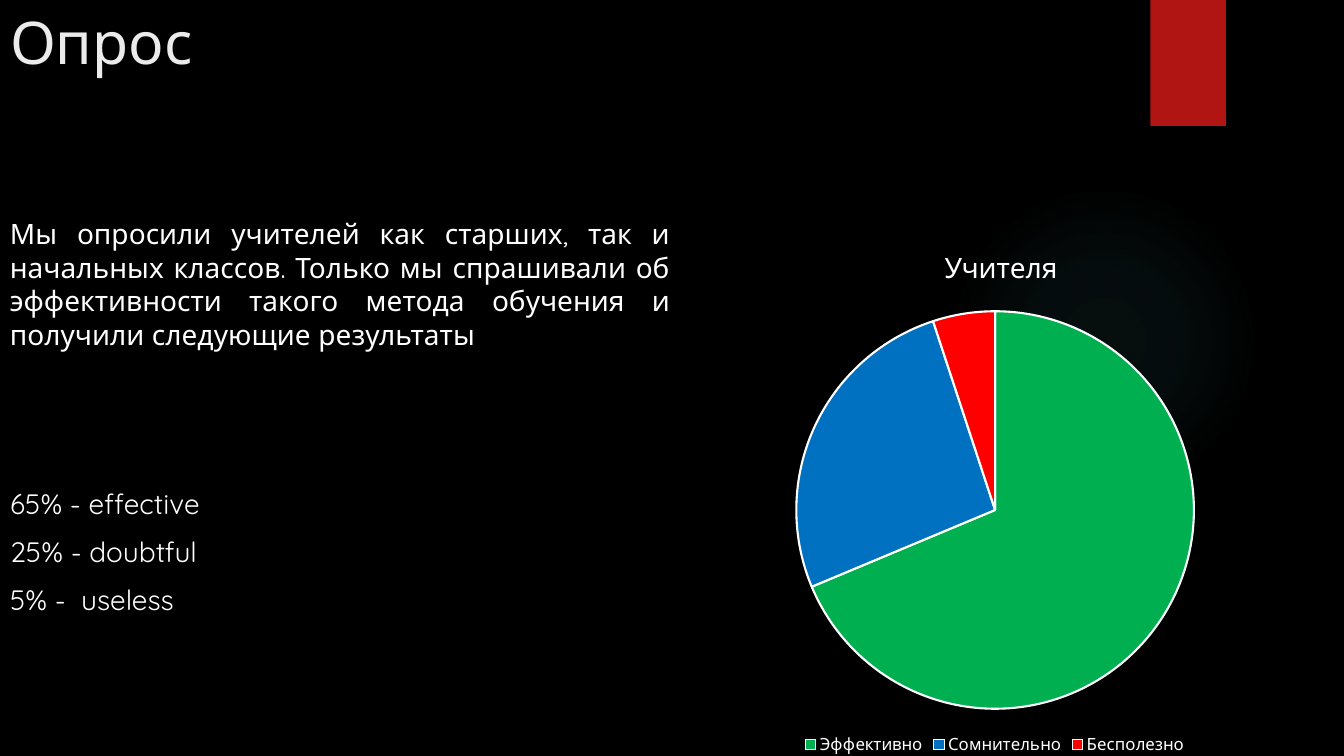
from lxml import etree
from pptx import Presentation
from pptx import util as u
from pptx.chart import data
from pptx.dml import color
from pptx.enum import chart as ch
from pptx.enum import shapes, text
from pptx.oxml import ns

FONT = "Quicksand"
HUES = {
    "back": "000000",
    "glow": "50B9C1",
    "tab": "B01513",
    "title": "EBEBEB",
    "text": "FFFFFF",
    "good": "00B050",
    "doubt": "0070C0",
    "bad": "FF0000",
}
VOTES = [("Эффективно", 68, "good"), ("Сомнительно", 26, "doubt"), ("Бесполезно", 5, "bad")]
INTRO = (
    "Мы опросили учителей как старших, так и начальных классов. "
    "Только мы спрашивали об эффективности такого метода обучения "
    "и получили следующие результаты"
)
SHARES = ["65% - effective", "25% - doubtful", "5% -  useless"]


def hue(name):
    return color.RGBColor.from_string(HUES[name])


def place(item, box):
    item.left, item.top, item.width, item.height = map(u.Inches, box)


def style(font, size, name="text"):
    font.name = FONT
    font.size = u.Pt(size)
    font.bold = False
    font.color.rgb = hue(name)


def write(item, lines, size=20, name="text", align=text.PP_ALIGN.LEFT, gap=10):
    frame = item.text_frame
    frame.word_wrap = True
    frame.auto_size = text.MSO_AUTO_SIZE.NONE
    frame.vertical_anchor = text.MSO_ANCHOR.TOP
    frame.text = "\n".join(lines)
    for para in frame.paragraphs:
        para.alignment = align
        para.space_before = u.Pt(gap)
        para.line_spacing = 1.0
        for run in para.runs:
            style(run.font, size, name)


def plain(item):
    for para in item.text_frame.paragraphs:
        props = para._p.get_or_add_pPr()
        props.set("marL", "0")
        props.set("indent", "0")
        etree.SubElement(props, ns.qn("a:buNone"))


def note(slide, box, lines, align=text.PP_ALIGN.LEFT):
    item = slide.shapes.add_textbox(*map(u.Inches, box))
    write(item, lines, align=align)


def block(slide, kind, box, name):
    item = slide.shapes.add_shape(kind, *map(u.Inches, box))
    item.shadow.inherit = False
    item.fill.solid()
    item.fill.fore_color.rgb = hue(name)
    item.line.fill.background()
    return item


def fade(item, name, stops):
    props = item._element.spPr
    grad = etree.Element(ns.qn("a:gradFill"))
    group = etree.SubElement(grad, ns.qn("a:gsLst"))
    for pos, alpha in stops:
        stop = etree.SubElement(group, ns.qn("a:gs"), pos=str(pos * 1000))
        tint = etree.SubElement(stop, ns.qn("a:srgbClr"), val=HUES[name])
        etree.SubElement(tint, ns.qn("a:alpha"), val=str(alpha * 1000))
    route = etree.SubElement(grad, ns.qn("a:path"), path="circle")
    etree.SubElement(route, ns.qn("a:fillToRect"), dict.fromkeys("ltrb", "50000"))
    props.replace(props.find(ns.qn("a:solidFill")), grad)


def pie(slide, box, votes):
    table = data.CategoryChartData()
    table.categories = [label for label, _, _ in votes]
    table.add_series("Series 1", [count for _, count, _ in votes])
    frame = slide.shapes.add_chart(ch.XL_CHART_TYPE.PIE, *map(u.Inches, box), table)
    chart = frame.chart
    chart.has_title = False
    style(chart.font, 10)
    chart.has_legend = True
    chart.legend.position = ch.XL_LEGEND_POSITION.BOTTOM
    chart.legend.include_in_layout = False
    style(chart.legend.font, 12)
    plot = chart.plots[0]
    plot.vary_by_categories = True
    for index, (_, _, name) in enumerate(votes):
        slice_ = plot.series[0].points[index].format
        slice_.fill.solid()
        slice_.fill.fore_color.rgb = hue(name)
        slice_.line.color.rgb = hue("text")
        slice_.line.width = u.Pt(1.5)


def main():
    deck = Presentation()
    deck.slide_width, deck.slide_height = u.Inches(13.33), u.Inches(7.5)
    slide = deck.slides.add_slide(deck.slide_layouts[1])
    slide.background.fill.solid()
    slide.background.fill.fore_color.rgb = hue("back")

    glow = block(slide, shapes.MSO_SHAPE.OVAL, (9.41, 1.83, 3.08, 3.08), "glow")
    fade(glow, "glow", [(0, 7), (36, 6), (69, 0)])
    block(slide, shapes.MSO_SHAPE.RECTANGLE, (11.41, 0, 0.75, 1.25), "tab")

    title = slide.shapes.title
    place(title, (0, 0.01, 10.29, 1.53))
    write(title, ["Опрос"], 42, "title", gap=0)

    note(slide, (0, 2.1, 6.74, 1.68), [INTRO], text.PP_ALIGN.JUSTIFY)
    pie(slide, (7.05, 2.95, 5.64, 4.58), VOTES)
    note(slide, (9.27, 2.44, 1.7, 0.51), ["Учителя"])

    shares = slide.placeholders[1]
    place(shares, (0, 4.78, 4.77, 1.94))
    write(shares, SHARES, align=text.PP_ALIGN.JUSTIFY)
    plain(shares)

    deck.save("out.pptx")


if __name__ == "__main__":
    main()
